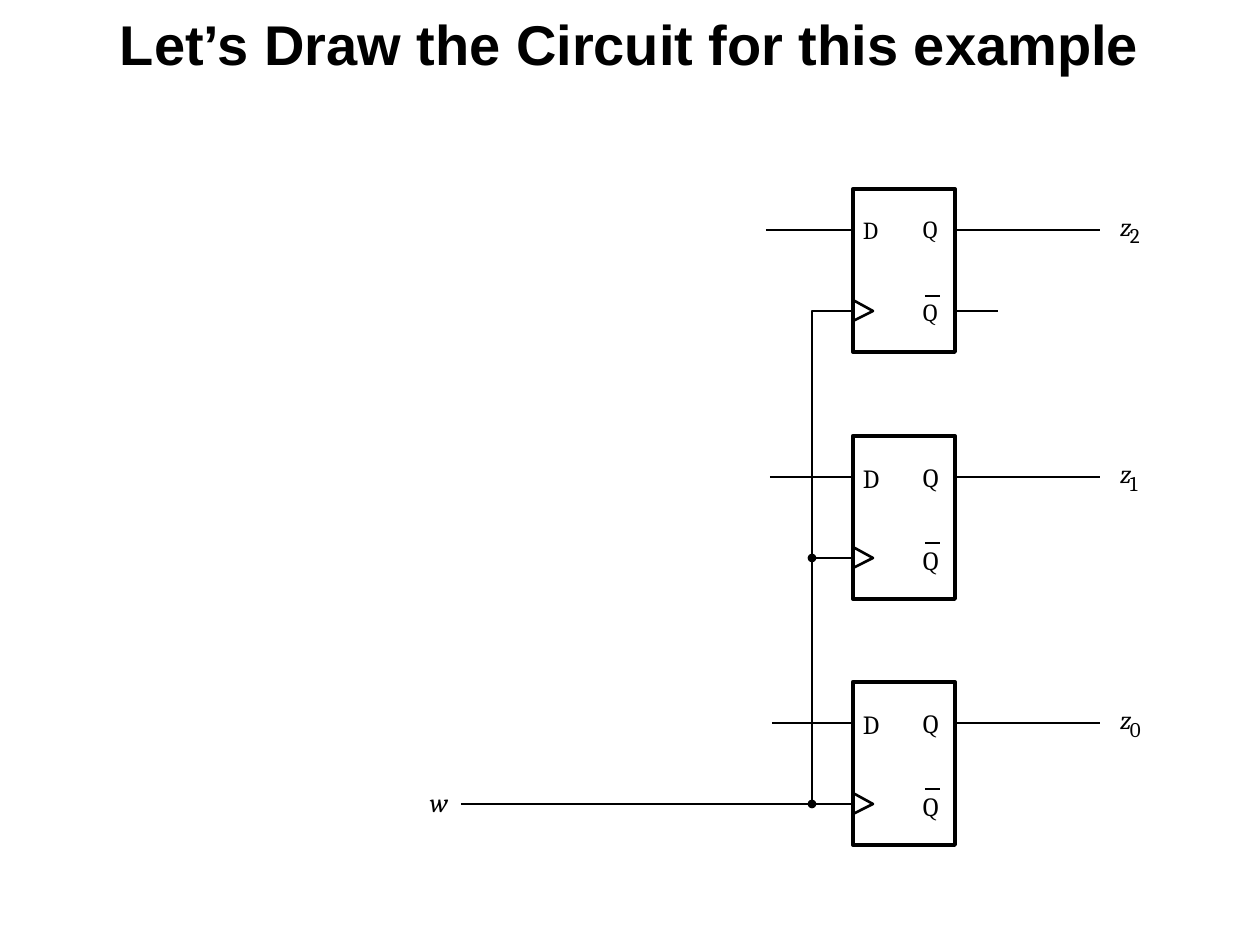
from lxml import etree
from pptx import Presentation
from pptx import util as u
from pptx.dml.color import RGBColor
from pptx.enum import shapes, text
from pptx.oxml import ns

EMU_PER_PX = 914400 / 126
PAGE_W, PAGE_H = 1260, 945
BLACK, WHITE = "000000", "FFFFFF"

BOX_X, BOX_W, BOX_H = 853, 102, 163
DATA_Y, CLOCK_Y = 41, 122  # pin heights below the top of a flip-flop
BUS_X = 812


def px(length):
    return u.Emu(round(length * EMU_PER_PX))


def color(hex_code):
    return RGBColor.from_string(hex_code)


def add_text(page, x, y, w, h, words, size, font="Cambria", italic=False):
    box = page.shapes.add_textbox(px(x), px(y), px(w), px(h))
    frame = box.text_frame
    frame.margin_left = frame.margin_right = 0
    frame.margin_top = frame.margin_bottom = 0
    frame.word_wrap = False
    para = frame.paragraphs[0]
    para.text = words
    para.font.name = font
    para.font.size = u.Pt(size)
    para.font.italic = italic
    para.font.color.rgb = color(BLACK)
    return box


def style(shape, fill=None, width=1.5):
    shape.shadow.inherit = False
    if fill:
        shape.fill.solid()
        shape.fill.fore_color.rgb = color(fill)
    else:
        shape.fill.background()
    shape.line.color.rgb = color(BLACK)
    shape.line.width = u.Pt(width)


def add_wire(page, x1, y1, x2, y2):
    wire = page.shapes.add_connector(
        shapes.MSO_CONNECTOR.STRAIGHT, px(x1), px(y1), px(x2), px(y2))
    wire.line.color.rgb = color(BLACK)
    wire.line.width = u.Pt(1.5)
    etree.SubElement(wire._element.spPr, ns.qn("a:effectLst"))


def add_path(page, points):
    """Draw an open line through the points."""
    start, *rest = points
    builder = page.shapes.build_freeform(*start, scale=EMU_PER_PX)
    builder.add_line_segments(rest, close=False)
    style(builder.convert_to_shape())


def add_junction(page, x, y, radius=3):
    dot = page.shapes.add_shape(
        shapes.MSO_SHAPE.OVAL, px(x - radius), px(y - radius),
        px(2 * radius), px(2 * radius))
    style(dot, BLACK)


def add_title(page, x, y, w, h):
    title = add_text(page, x, y, w, h,
                     "Let’s Draw the Circuit for this example", 32, "Arial")
    title.text_frame.word_wrap = True
    title.text_frame.vertical_anchor = text.MSO_ANCHOR.MIDDLE
    para = title.text_frame.paragraphs[0]
    para.alignment = text.PP_ALIGN.CENTER
    para.line_spacing = 0.9
    para.font.bold = True


def add_flip_flop(page, x, y, w, h, size):
    body = page.shapes.add_shape(
        shapes.MSO_SHAPE.RECTANGLE, px(x), px(y), px(w), px(h))
    style(body, WHITE, 2.25)
    for name, dx, dy in (("D", 10, 26), ("Q", 70, 25), ("Q", 70, 108)):
        add_text(page, x + dx, y + dy, 24, 30, name, size)
    add_wire(page, x + 72, y + 107, x + 87, y + 107)  # bar over the lower Q
    clock = y + CLOCK_Y
    add_path(page, [(x, clock + 10), (x + 20, clock), (x, clock - 11)])


def add_data_wires(page, x, y, w, input_x, index):
    """Add the D input, the Q output and the output's label."""
    data = y + DATA_Y
    right = x + w
    add_wire(page, input_x, data, x, data)
    add_wire(page, right, data, right + 145, data)
    add_text(page, right + 165, y + 21, 29, 38, "z", 15, italic=True)
    add_text(page, right + 175, y + 34, 24, 29, index, 12)


def add_clock_bus(page, x, tops):
    """Join the clock pins of all flip-flops to the input w."""
    top, middle, bottom = (y + CLOCK_Y for y in tops)
    add_path(page, [(x, bottom), (x, top), (BOX_X, top)])
    add_wire(page, x, middle, BOX_X, middle)
    add_wire(page, 461, bottom, BOX_X, bottom)
    for y in (middle, bottom):
        add_junction(page, x, y)
    add_text(page, 430, bottom - 18, 36, 38, "w", 15, italic=True)


def main():
    deck = Presentation()
    deck.slide_width, deck.slide_height = px(PAGE_W), px(PAGE_H)
    page = deck.slides.add_slide(deck.slide_layouts[6])

    add_title(page, 0, 0, PAGE_W, 94)
    stages = (("2", 189, 766, 14), ("1", 436, 770, 15), ("0", 682, 772, 15))
    for index, y, input_x, size in stages:
        add_flip_flop(page, BOX_X, y, BOX_W, BOX_H, size)
        add_data_wires(page, BOX_X, y, BOX_W, input_x, index)

    tops = [y for _, y, _, _ in stages]
    add_clock_bus(page, BUS_X, tops)
    inverted = tops[0] + CLOCK_Y
    add_wire(page, BOX_X + BOX_W, inverted, 998, inverted)
    deck.save("out.pptx")


if __name__ == "__main__":
    main()
